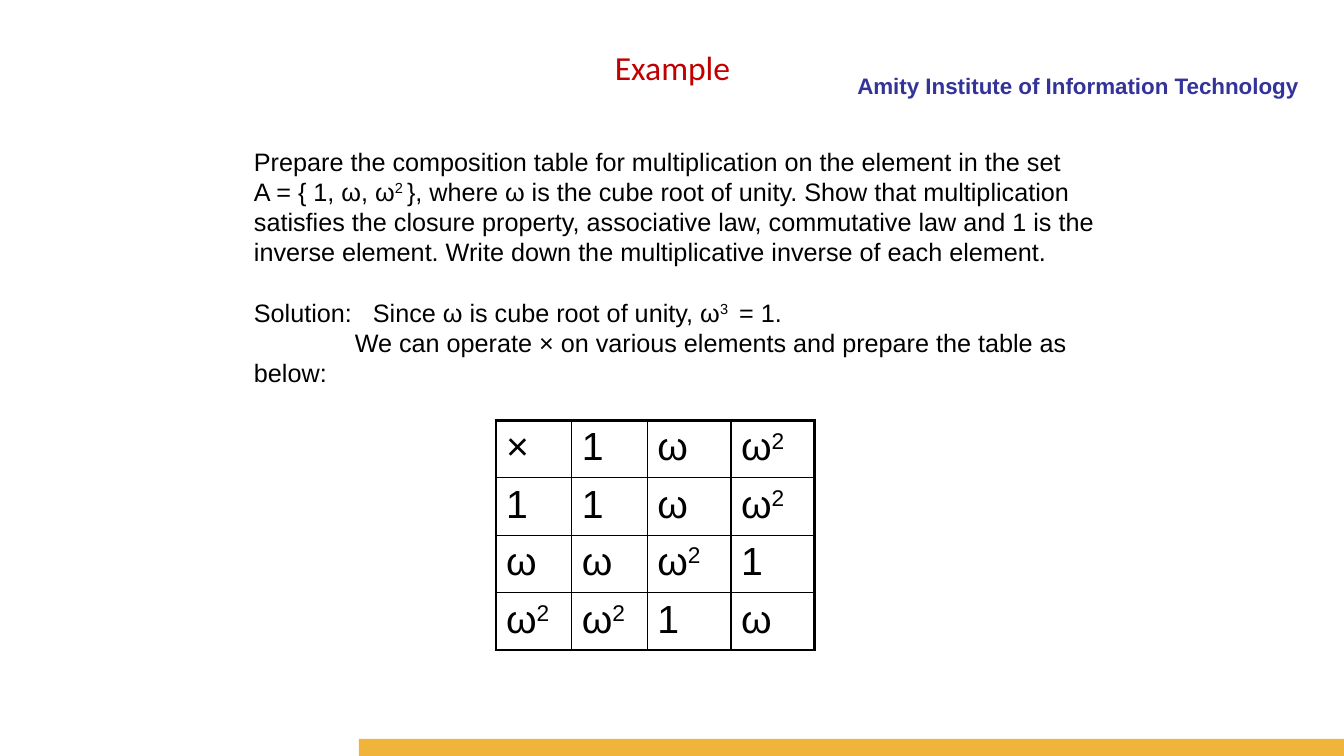
from dataclasses import dataclass

from lxml import etree
from pptx import Presentation
from pptx.dml.color import RGBColor
from pptx.enum.shapes import MSO_SHAPE
from pptx.enum.text import PP_ALIGN
from pptx.oxml.ns import qn
from pptx.util import Inches, Pt

RECTANGLE = MSO_SHAPE.RECTANGLE
LEFT, CENTER, RIGHT = PP_ALIGN.LEFT, PP_ALIGN.CENTER, PP_ALIGN.RIGHT

COLORS = {"ink": "000000", "title": "C00000", "institute": "333399", "band": "F1B43B"}
THICK, THIN = 2.25, 1
BODY_PITCH = 21.6


@dataclass(frozen=True)
class Style:
    size: float
    color: str = "ink"
    font: str = "Arial"
    bold: bool = False


@dataclass(frozen=True)
class Span:
    text: str
    raised: bool = False


@dataclass(frozen=True)
class Line:
    spans: tuple[Span, ...]
    before: float = 0
    indent: float = 0
    tab: float = 0


@dataclass(frozen=True)
class Block:
    left: float
    top: float
    width: float
    height: float
    style: Style
    lines: tuple[Line, ...]
    align: PP_ALIGN = LEFT
    pitch: float | None = None


BODY = (
    Line((Span("Prepare the composition table for multiplication on the element in the set"),)),
    Line((
        Span("A = { 1, ω, ω"),
        Span("2 ", raised=True),
        Span("}, where ω is the cube root of unity. Show that multiplication satisfies "
             "the closure property, associative law, commutative law and 1 is the inverse "
             "element. Write down the multiplicative inverse of each element."),
    )),
    Line((
        Span("Solution:\tSince ω is cube root of unity, ω"),
        Span("3 ", raised=True),
        Span(" = 1."),
    ), before=BODY_PITCH, tab=1.18),
    Line((Span("We can operate × on various elements and prepare the table as below:"),), indent=1),
)

BLOCKS = (
    Block(5.09, 0.67, 7.89, 0.33, Style(16, "institute", bold=True),
          (Line((Span("Amity Institute of Information Technology"),)),), RIGHT),
    Block(1.67, 0.42, 10, 0.5, Style(24, "title", "Calibri"),
          (Line((Span("Example"),)),), CENTER),
    Block(2.42, 1.4, 8.68, 3.13, Style(18), BODY, pitch=BODY_PITCH),
)

POWERS = ((Span("1"),), (Span("ω"),), (Span("ω"), Span("2", raised=True)))
COLUMN_WIDTHS = (0.75, 0.75, 0.83, 0.83)
ROW_HEIGHT = 0.57
CELL_STYLE = Style(28)


def add_spans(para, spans: tuple[Span, ...], style: Style) -> None:
    for span in spans:
        run = para.add_run()
        run.text = span.text
        font = run.font
        font.name, font.size, font.bold = style.font, Pt(style.size), style.bold
        font.color.rgb = RGBColor.from_string(COLORS[style.color])
        if span.raised:
            run._r.get_or_add_rPr().set("baseline", "30000")


def add_block(slide, block: Block) -> None:
    box = slide.shapes.add_textbox(*map(Inches, (block.left, block.top, block.width, block.height)))
    frame = box.text_frame
    frame.word_wrap = True
    for index, line in enumerate(block.lines):
        para = frame.add_paragraph() if index else frame.paragraphs[0]
        para.alignment = block.align
        if block.pitch:
            para.line_spacing = Pt(block.pitch)
        if line.before:
            para.space_before = Pt(line.before)
        properties = para._p.get_or_add_pPr()
        if line.indent:
            properties.set("indent", str(Inches(line.indent)))
        if line.tab:
            tabs = etree.SubElement(properties, qn("a:tabLst"))
            etree.SubElement(tabs, qn("a:tab"), pos=str(Inches(line.tab)), algn="l")
        add_spans(para, line.spans, block.style)


def add_band(slide) -> None:
    band = slide.shapes.add_shape(RECTANGLE, *map(Inches, (3.56, 7.33, 9.78, 0.17)))
    band.shadow.inherit = False
    band.fill.solid()
    band.fill.fore_color.rgb = RGBColor.from_string(COLORS["band"])
    band.line.fill.background()


def set_borders(cell, widths: dict[str, float]) -> None:
    properties = cell._tc.get_or_add_tcPr()
    for index, (side, width) in enumerate(widths.items()):
        border = etree.Element(qn(f"a:ln{side}"), w=str(Pt(width)))
        fill = etree.SubElement(border, qn("a:solidFill"))
        etree.SubElement(fill, qn("a:srgbClr"), val=COLORS["ink"])
        properties.insert(index, border)


def product(row: int, column: int) -> tuple[Span, ...]:
    """Give the cell's power of ω, whose exponents add modulo 3."""
    if row == column == 0:
        return (Span("×"),)
    return POWERS[(max(row - 1, 0) + max(column - 1, 0)) % len(POWERS)]


def add_composition_table(slide) -> None:
    count = len(COLUMN_WIDTHS)
    last = count - 1
    frame = slide.shapes.add_table(count, count, Inches(4.92), Inches(4.17),
                                   Inches(sum(COLUMN_WIDTHS)), Inches(ROW_HEIGHT * count))
    table = frame.table
    table.first_row = table.horz_banding = False
    for index, width in enumerate(COLUMN_WIDTHS):
        table.columns[index].width = Inches(width)
        table.rows[index].height = Inches(ROW_HEIGHT)
    for row in range(count):
        for column in range(count):
            cell = table.cell(row, column)
            cell.fill.background()
            add_spans(cell.text_frame.paragraphs[0], product(row, column), CELL_STYLE)
            set_borders(cell, {
                "L": THICK if column == 0 else THIN,
                "R": THICK if column == last else THIN,
                "T": THICK if row == 0 else THIN,
                "B": THICK if row == last else THIN,
            })


def main() -> None:
    deck = Presentation()
    deck.slide_width, deck.slide_height = Inches(13.33), Inches(7.5)
    slide = deck.slides.add_slide(deck.slide_layouts[6])
    add_band(slide)
    for block in BLOCKS:
        add_block(slide, block)
    add_composition_table(slide)
    deck.save("out.pptx")


if __name__ == "__main__":
    main()
